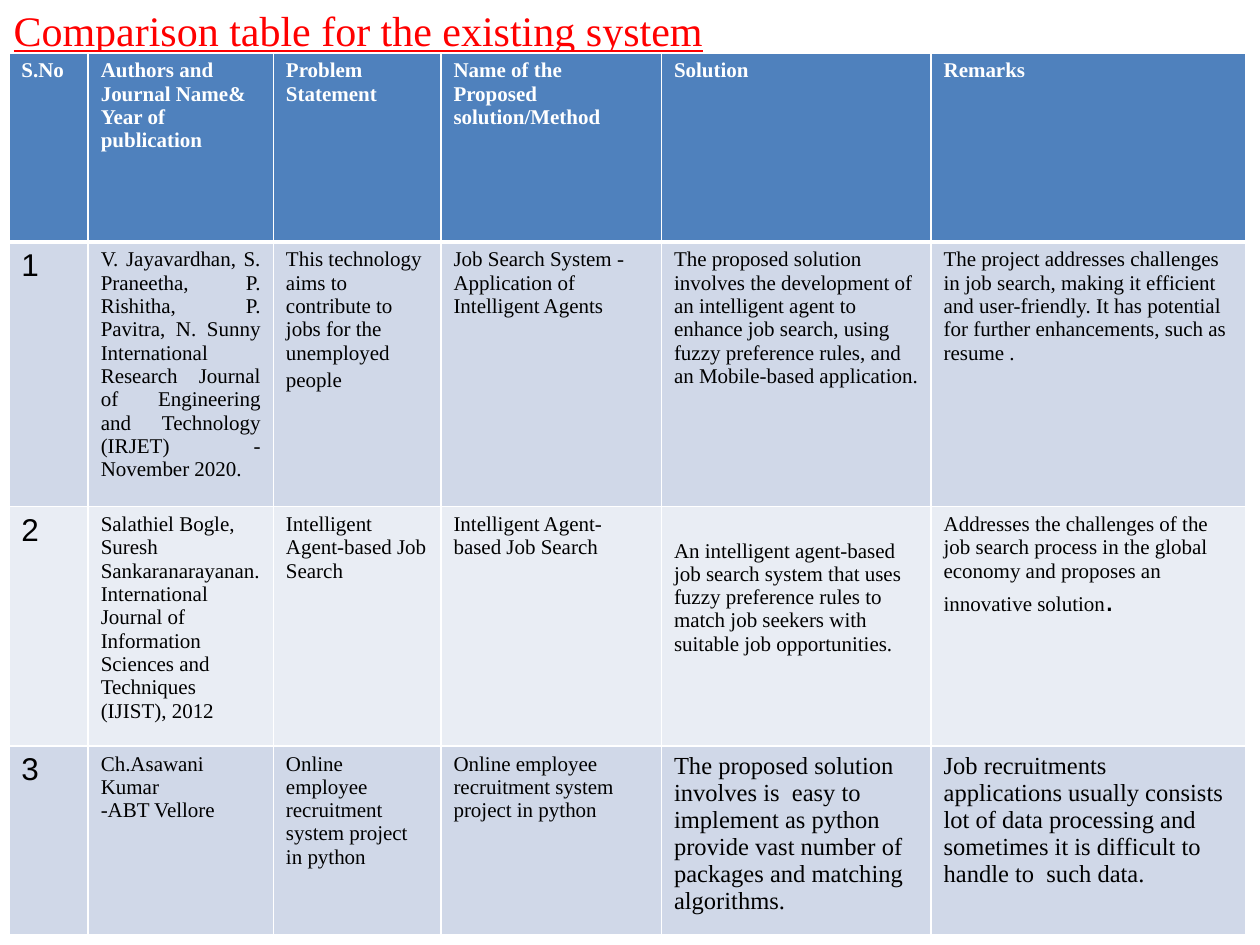
from lxml.etree import SubElement
from pptx import Presentation
from pptx.dml.color import RGBColor
from pptx.enum.text import PP_ALIGN as ALIGN
from pptx.oxml.ns import qn
from pptx.util import Inches, Pt

RED = RGBColor(0xFF, 0x00, 0x00)
WHITE = RGBColor(0xFF, 0xFF, 0xFF)
BLACK = RGBColor(0x00, 0x00, 0x00)
HEADER_BLUE = RGBColor(0x4F, 0x81, 0xBD)
BANDS = (RGBColor(0xD0, 0xD8, 0xE8), RGBColor(0xE9, 0xED, 0xF4))
SERIF, SANS = "Times New Roman", "Arial"

COL_WIDTHS = (0.63, 1.47, 1.33, 1.75, 2.14, 2.5)
ROW_HEIGHTS = (1.5, 2.1, 1.9, 1.5)

HEADERS = ("S.No", "Authors and Journal Name& Year of publication",
           "Problem Statement", "Name of the Proposed solution/Method",
           "Solution ", "Remarks")
PAPERS = (
    ("1",
     "V. Jayavardhan, S. Praneetha, P. Rishitha, P. Pavitra, N. Sunny "
     "International Research Journal of Engineering and Technology (IRJET) "
     "- November 2020.",
     "This technology aims to contribute to jobs for the unemployed people",
     "Job Search System - Application of Intelligent Agents",
     "The proposed solution involves the development of an intelligent agent "
     "to enhance job search, using fuzzy preference rules, and an "
     "Mobile-based application.",
     "The project addresses challenges in job search, making it efficient and "
     "user-friendly. It has potential for further enhancements, such as resume ."),
    ("2",
     "Salathiel Bogle, Suresh Sankaranarayanan. International Journal of "
     "Information Sciences and Techniques (IJIST), 2012",
     "Intelligent Agent-based Job Search ",
     "Intelligent Agent-based Job Search",
     "An intelligent agent-based job search system that uses fuzzy preference "
     "rules to match job seekers with suitable job opportunities.",
     "Addresses the challenges of the job search process in the global economy "
     "and proposes an innovative solution"),
    ("3",
     "Ch.Asawani Kumar\n-ABT Vellore",
     "Online employee recruitment system project in python",
     "Online employee recruitment system project in python",
     "The proposed solution involves is  easy to implement as python provide "
     "vast number of packages and matching algorithms.",
     "Job recruitments  applications usually consists lot of data processing "
     "and sometimes it is difficult to handle to  such data."),
)


def add_run(p, text, size=12, font=SERIF, color=BLACK, bold=False,
            underline=False):
    r = p.add_run()
    r.text = text
    r.font.size = Pt(size)
    r.font.name = font
    r.font.color.rgb = color
    r.font.bold = bold
    r.font.underline = underline


def write_text(tf, text, align=ALIGN.LEFT, **fmt):
    """Write one paragraph for each line of text."""
    for i, line in enumerate(text.split("\n")):
        p = tf.add_paragraph() if i else tf.paragraphs[0]
        p.alignment = align
        add_run(p, line, **fmt)


def style_cell(cell, fill, bottom=1):
    # Borders come before the fill in the cell properties
    tc_pr = cell._tc.get_or_add_tcPr()
    for side, width in (("L", 1), ("R", 1), ("T", 1), ("B", bottom)):
        ln = SubElement(tc_pr, qn(f"a:ln{side}"), w=str(Pt(width)))
        SubElement(SubElement(ln, qn("a:solidFill")), qn("a:srgbClr"),
                   val=str(WHITE))
    cell.fill.solid()
    cell.fill.fore_color.rgb = fill


def add_title(slide, text):
    sp = slide.shapes.add_textbox(Inches(0.01), Inches(-0.01),
                                  Inches(9.83), Inches(0.5))
    sp.text_frame.word_wrap = True
    write_text(sp.text_frame, text, size=24, color=RED, underline=True)


def add_comparison_table(slide):
    table = slide.shapes.add_table(
        len(ROW_HEIGHTS), len(COL_WIDTHS), Inches(0.07), Inches(0.42),
        Inches(sum(COL_WIDTHS)), Inches(sum(ROW_HEIGHTS))).table
    for column, width in zip(table.columns, COL_WIDTHS):
        column.width = Inches(width)
    for row, height in zip(table.rows, ROW_HEIGHTS):
        row.height = Inches(height)

    # Header row
    for col, text in enumerate(HEADERS):
        cell = table.cell(0, col)
        style_cell(cell, HEADER_BLUE, bottom=3)
        write_text(cell.text_frame, text, color=WHITE, bold=True)

    # Formats that differ from the plain body text
    formats = {(row, 0): dict(size=18, font=SANS) for row in (1, 2, 3)}
    formats[1, 1] = dict(align=ALIGN.JUSTIFY)
    formats[3, 4] = formats[3, 5] = dict(size=14)

    # Body rows
    for row, paper in enumerate(PAPERS, start=1):
        for col, text in enumerate(paper):
            cell = table.cell(row, col)
            style_cell(cell, BANDS[(row - 1) % 2])
            write_text(cell.text_frame, text, **formats.get((row, col), {}))

    # Larger closing characters and one lowered paragraph
    for row, col, tail, size in ((1, 2, " ", 14), (2, 5, ".", 18)):
        p = table.cell(row, col).text_frame.paragraphs[-1]
        add_run(p, tail, size=size, font=SANS)
    table.cell(2, 4).margin_top = Inches(0.26)


def main():
    prs = Presentation()
    prs.slide_width, prs.slide_height = Inches(10), Inches(7.5)
    slide = prs.slides.add_slide(prs.slide_layouts[6])
    add_title(slide, "Comparison table for the existing system")
    add_comparison_table(slide)
    prs.save("out.pptx")


main()
